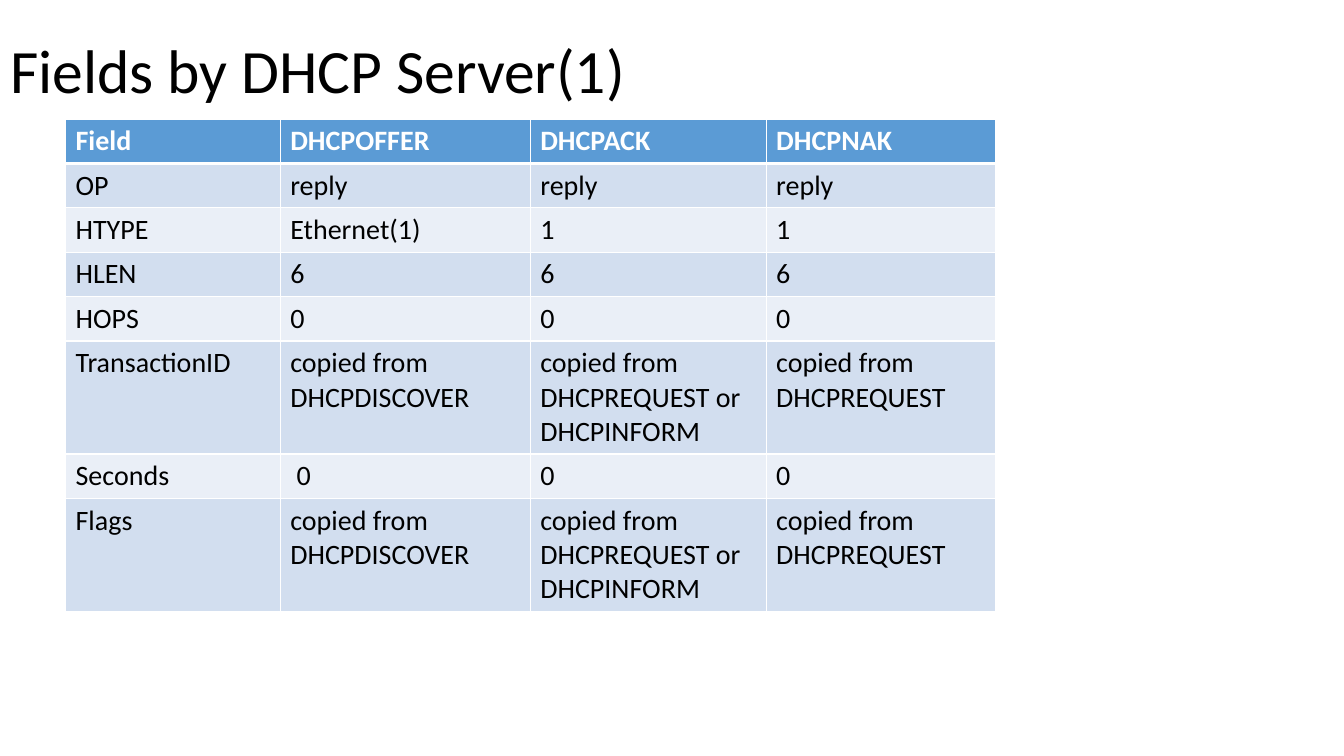
from lxml.etree import SubElement
from pptx import Presentation
from pptx.dml.color import RGBColor
from pptx.enum.text import MSO_ANCHOR, PP_ALIGN
from pptx.oxml.ns import qn
from pptx.util import Pt

BLACK = RGBColor(0x00, 0x00, 0x00)
WHITE = RGBColor(0xFF, 0xFF, 0xFF)
HEADER_BLUE = RGBColor(0x5B, 0x9B, 0xD5)
BAND_DARK = RGBColor(0xD2, 0xDE, 0xEF)
BAND_LIGHT = RGBColor(0xEA, 0xEF, 0xF7)


def set_font(paragraph, size, color, bold=False):
    font_format = {"name": "Calibri", "size": Pt(size), "bold": bold}
    for name, value in font_format.items():
        setattr(paragraph.font, name, value)
    paragraph.font.color.rgb = color


def add_border(cell, side, width):
    line = SubElement(cell._tc.get_or_add_tcPr(), qn(f"a:ln{side}"), w=str(Pt(width)))
    SubElement(SubElement(line, qn("a:solidFill")), qn("a:srgbClr"), val=str(WHITE))


presentation = Presentation()
presentation.slide_width = Pt(960)
presentation.slide_height = Pt(540)
slide = presentation.slides.add_slide(presentation.slide_layouts[5])

title = slide.shapes.title
title_box = {"left": 0, "top": 0, "width": 828, "height": 104.4}
for name, value in title_box.items():
    setattr(title, name, Pt(value))
title.text_frame.text = "Fields by DHCP Server(1)"
title.text_frame.word_wrap = True
title.text_frame.vertical_anchor = MSO_ANCHOR.MIDDLE
heading = title.text_frame.paragraphs[0]
heading.alignment = PP_ALIGN.LEFT
heading.line_spacing = 0.9
set_font(heading, 44, BLACK)

copied_values = [
    "copied from DHCPDISCOVER",
    "copied from DHCPREQUEST or DHCPINFORM",
    "copied from DHCPREQUEST",
]
field_rows = [
    ["Field", "DHCPOFFER", "DHCPACK", "DHCPNAK"],
    ["OP", "reply", "reply", "reply"],
    ["HTYPE", "Ethernet(1)", "1", "1"],
    ["HLEN", "6", "6", "6"],
    ["HOPS", "0", "0", "0"],
    ["TransactionID", *copied_values],
    ["Seconds", " 0", "0", "0"],
    ["Flags", *copied_values],
]
column_widths = [153.4, 178.6, 168.5, 164.2]
row_height = 29.5

table = slide.shapes.add_table(
    len(field_rows), len(column_widths), Pt(46.8), Pt(85),
    Pt(sum(column_widths)), Pt(row_height * len(field_rows)),
).table
for column, width in zip(table.columns, column_widths):
    column.width = Pt(width)

for row_index, values in enumerate(field_rows):
    is_header = row_index == 0
    band_color = BAND_DARK if row_index % 2 else BAND_LIGHT
    border_widths = {
        "L": 1,
        "R": 1,
        "T": 3 if row_index == 1 else 1,
        "B": 3 if is_header else 1,
    }
    table.rows[row_index].height = Pt(row_height)
    for column_index, value in enumerate(values):
        cell = table.cell(row_index, column_index)
        cell.text = value
        set_font(cell.text_frame.paragraphs[0], 20, WHITE if is_header else BLACK, is_header)
        for side, width in border_widths.items():
            add_border(cell, side, width)
        cell.fill.solid()
        cell.fill.fore_color.rgb = HEADER_BLUE if is_header else band_color

presentation.save("out.pptx")
